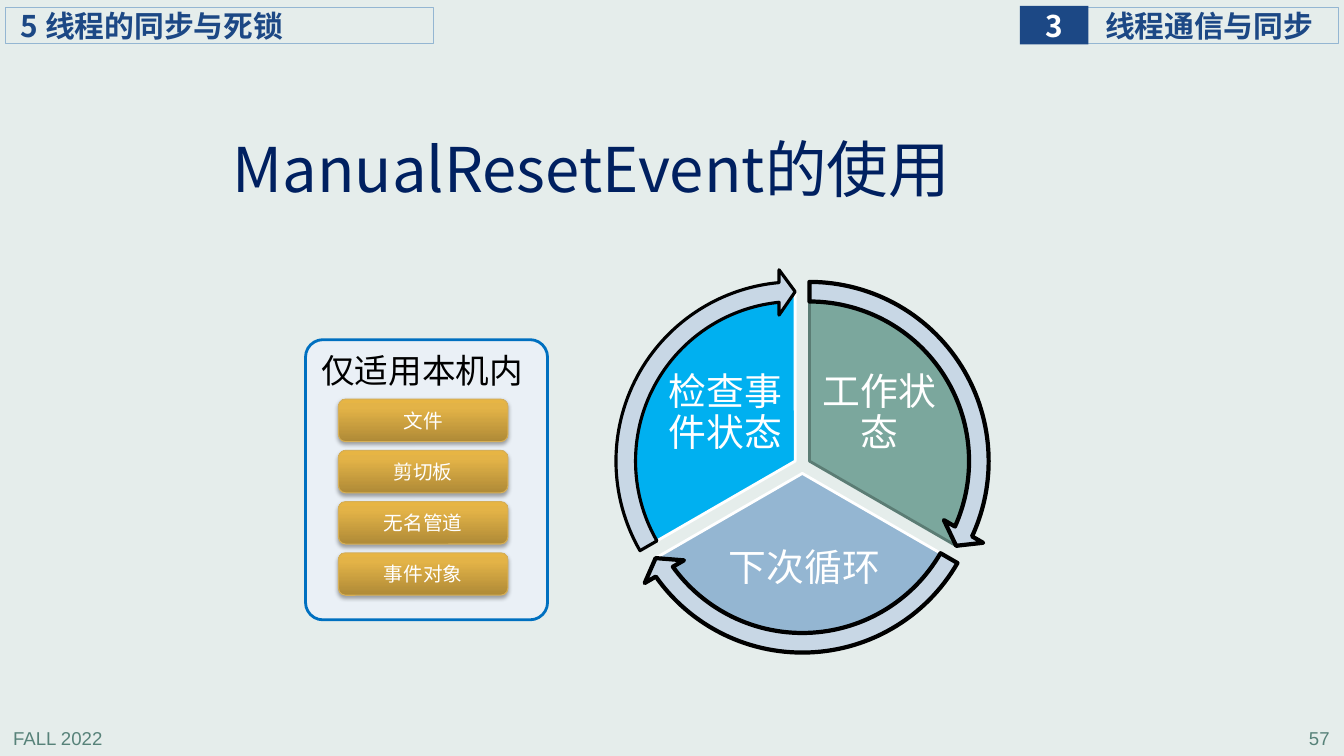
from pptx import Presentation
from pptx.dml.color import RGBColor
from pptx.enum.shapes import MSO_SHAPE
from pptx.enum.text import MSO_ANCHOR, MSO_AUTO_SIZE, PP_ALIGN
from pptx.oxml import parse_xml
from pptx.oxml.ns import nsdecls, qn
from pptx.util import Cm, Pt

RECT, ROUND = MSO_SHAPE.RECTANGLE, MSO_SHAPE.ROUNDED_RECTANGLE
PIE, ARROW = MSO_SHAPE.PIE, MSO_SHAPE.CIRCULAR_ARROW
LEFT, CENTER, RIGHT = PP_ALIGN.LEFT, PP_ALIGN.CENTER, PP_ALIGN.RIGHT
TOP, MIDDLE = MSO_ANCHOR.TOP, MSO_ANCHOR.MIDDLE
NO_FIT = MSO_AUTO_SIZE.NONE

CJK, LATIN, FOOT = "Noto Sans CJK SC", "Calibri", "Arial"
DEFAULT_INSETS = (0.25, 0.13, 0.25, 0.13)
COLORS = {
    "background": "E5EDEB", "footer": "578279", "title": "002060",
    "header": "1C4885", "header_line": "94B6D2", "white": "FFFFFF", "black": "000000",
    "work": "7BA79D", "work_line": "5B7C74", "next": "94B6D2", "check": "00B0F0",
    "arrow": "C8D7E5", "panel": "EAF0F6", "panel_line": "0070C0",
    "gold_dark": "AF8A37", "gold": "E3B347", "gold_light": "E7B544", "gold_line": "D6AF57",
}


def rgb(name):
    return RGBColor.from_string(COLORS[name])


class SlideBuilder:
    def __init__(self, prs):
        self.s = prs.slides.add_slide(prs.slide_layouts[5])
        self.s.background.fill.solid()
        self.s.background.fill.fore_color.rgb = rgb("background")

    def fill_text(self, sp, text, size, color, font=CJK, align=LEFT, anchor=MIDDLE,
                  insets=DEFAULT_INSETS, bold=False, wrap=True, spacing=None):
        tf = sp.text_frame
        tf.auto_size = NO_FIT
        tf.word_wrap = wrap
        tf.vertical_anchor = anchor
        (tf.margin_left, tf.margin_top,
         tf.margin_right, tf.margin_bottom) = [Cm(v) for v in insets]
        p = tf.paragraphs[0]
        p.alignment = align
        if spacing:
            p.line_spacing = spacing
        r = p.add_run()
        r.text = text
        r.font.size = Pt(size)
        r.font.bold = bold
        r.font.name = font
        r.font.color.rgb = rgb(color)
        ea = parse_xml(f'<a:ea {nsdecls("a")} typeface="{CJK}"/>')
        r.font._element.find(qn("a:latin")).addnext(ea)

    def title(self, box, text):
        sp = self.s.shapes.title
        sp.left, sp.top, sp.width, sp.height = [Cm(v) for v in box]
        self.fill_text(sp, text, 44, "title", insets=(0.2, 0.1, 0.2, 0.1), spacing=0.9)

    def text(self, box, text, size, color, **style):
        sp = self.s.shapes.add_textbox(*[Cm(v) for v in box])
        self.fill_text(sp, text, size, color, **style)

    def shape(self, kind, box, fill=None, line=None, width=0.75, adj=()):
        sp = self.s.shapes.add_shape(kind, *[Cm(v) for v in box])
        sp.shadow.inherit = False
        for i, value in enumerate(adj):
            sp.adjustments[i] = value
        if fill:
            sp.fill.solid()
            sp.fill.fore_color.rgb = rgb(fill)
        else:
            sp.fill.background()
        if line:
            sp.line.color.rgb = rgb(line)
            sp.line.width = Pt(width)
        else:
            sp.line.fill.background()
        return sp

    def disc(self, kind, center, size, fill, line, width, adj):
        x, y = center
        self.shape(kind, (x - size / 2, y - size / 2, size, size), fill, line, width, adj)

    def button(self, box, text):
        sp = self.shape(ROUND, box, "gold", "gold_line")
        stops = "".join(
            f'<a:gs pos="{pos}"><a:srgbClr val="{COLORS[name]}"/></a:gs>'
            for pos, name in ((0, "gold_dark"), (80000, "gold"), (100000, "gold_light")))
        spPr = sp._element.spPr
        solid = spPr.find(qn("a:solidFill"))
        solid.addnext(parse_xml(
            f'<a:gradFill {nsdecls("a")} rotWithShape="1"><a:gsLst>{stops}</a:gsLst>'
            '<a:lin ang="16200000" scaled="0"/></a:gradFill>'))
        spPr.remove(solid)
        spPr.find(qn("a:effectLst")).append(parse_xml(
            f'<a:outerShdw {nsdecls("a")} blurRad="{Pt(3.1)}" dist="{Pt(1.8)}" dir="5400000" '
            f'rotWithShape="0"><a:srgbClr val="{COLORS["black"]}"><a:alpha val="35000"/>'
            '</a:srgbClr></a:outerShdw>'))
        self.fill_text(sp, text, 14, "white", align=CENTER)


def main():
    prs = Presentation()
    prs.slide_width, prs.slide_height = Cm(33.87), Cm(19.05)
    b = SlideBuilder(prs)

    for x, label, align in ((0.08, "FALL 2022", LEFT), (26.7, "57", RIGHT)):
        b.text((x, 18.19, 7.06, 0.79), label, 13.3, "footer", font=FOOT,
               align=align, anchor=TOP)

    headers = (
        ((27.38, 0.18, 6.35, 0.91), " 线程通信与同步", None, "header_line", "header", LEFT, 0.3),
        ((25.7, 0.15, 1.73, 0.97), "3", "header", None, "white", CENTER, 0),
        ((0.13, 0.18, 10.8, 0.91), "5 线程的同步与死锁", None, "header_line", "header", LEFT, 0.4),
    )
    for box, label, fill, line, color, align, inset in headers:
        sp = b.shape(RECT, box, fill, line)
        b.fill_text(sp, label, 21.3, color, align=align, insets=(inset, 0, 0, 0), bold=True)

    b.title((5.66, 3.3, 21.41, 2.11), "ManualResetEvent的使用")

    sectors = (
        ("工作状态", (20.4, 11.62), "work", "work_line", (162, 18),
         (20.62, 9.14, 3.07, 2.57), (14.725, 161.994), 3),
        ("下次循环", (20.22, 11.93), "next", "white", (18, 90),
         (17.96, 13.21, 4.62, 2.26), (86.72, 18.005), 3),
        ("检查事件状态", (20.04, 11.62), "check", "white", (90, 162),
         (16.74, 9.14, 3.07, 2.57), (158.73, 90), 2.25),
    )
    for label, center, fill, line, angles, box, _, _ in sectors:
        b.disc(PIE, center, 8.61, fill, line, 2, angles)
        b.text(box, label, 27, "white", font=LATIN, align=CENTER,
               insets=(0.1, 0.1, 0.1, 0.1), spacing=0.9)
    for _, center, _, _, _, _, (end, start), width in sectors:
        b.disc(ARROW, center, 9.68, "arrow", "black", width,
               (0.051, 3.275, end, start, 0.059))

    b.shape(ROUND, (7.7, 8.56, 6.1, 7.06), "panel", "panel_line", 2, (0.072,))
    b.text((7.85, 8.69, 5.64, 1.27), "仅适用本机内", 24, "black", anchor=TOP, wrap=False)
    for i, label in enumerate(("文件", "剪切板", "无名管道", "事件对象")):
        b.button((8.53, 10.06 + 1.29 * i, 4.27, 1.07), label)

    prs.save("out.pptx")


if __name__ == "__main__":
    main()
